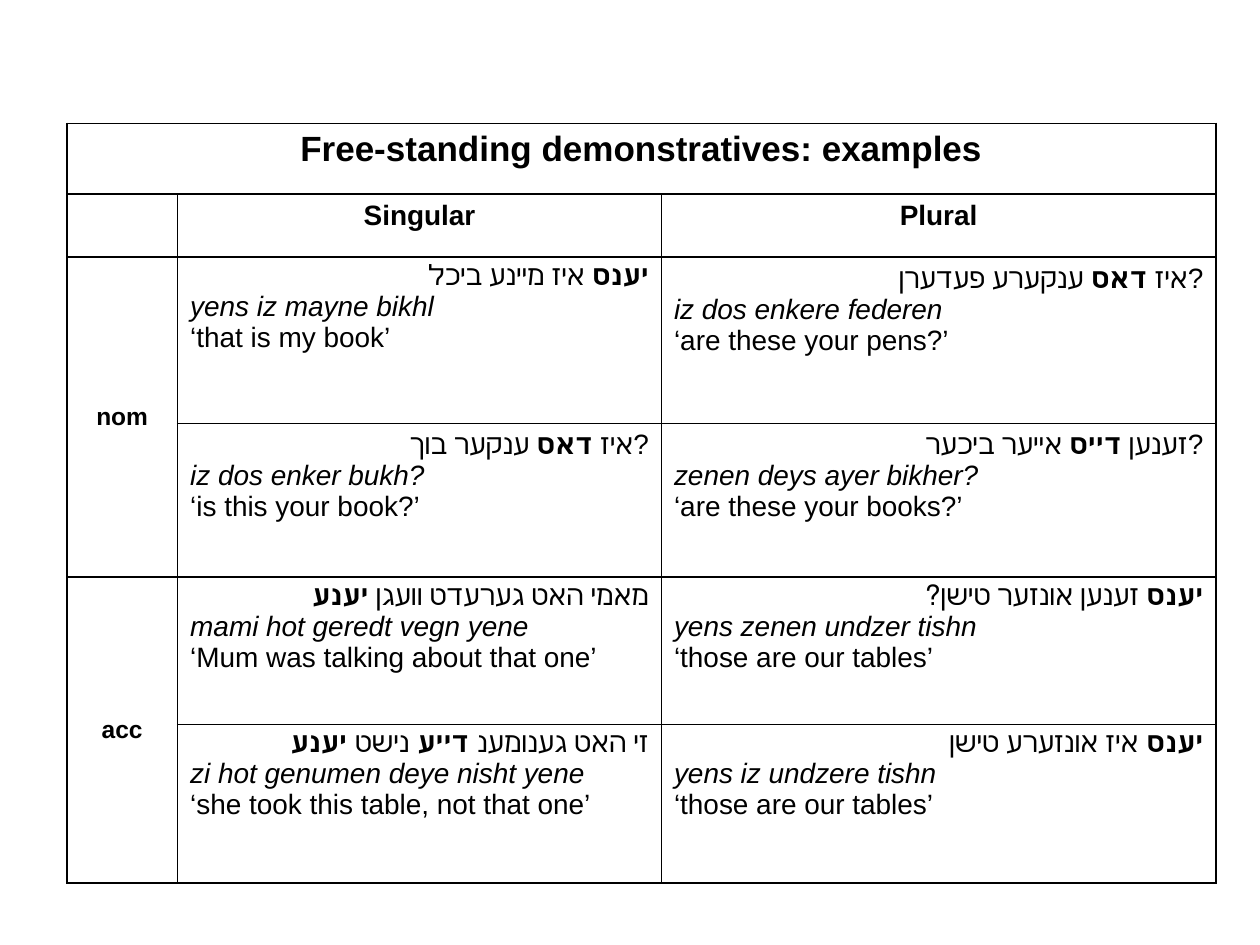
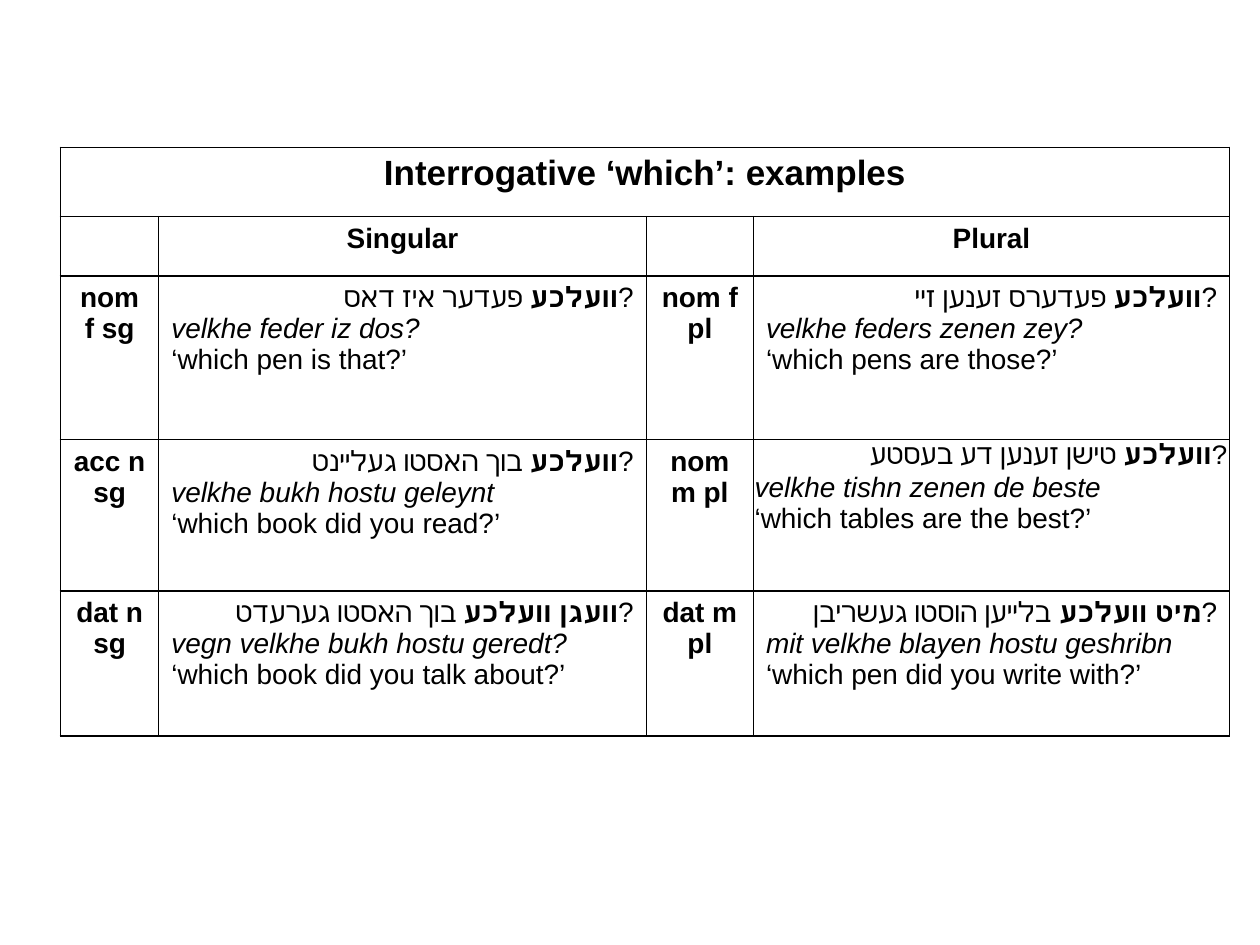
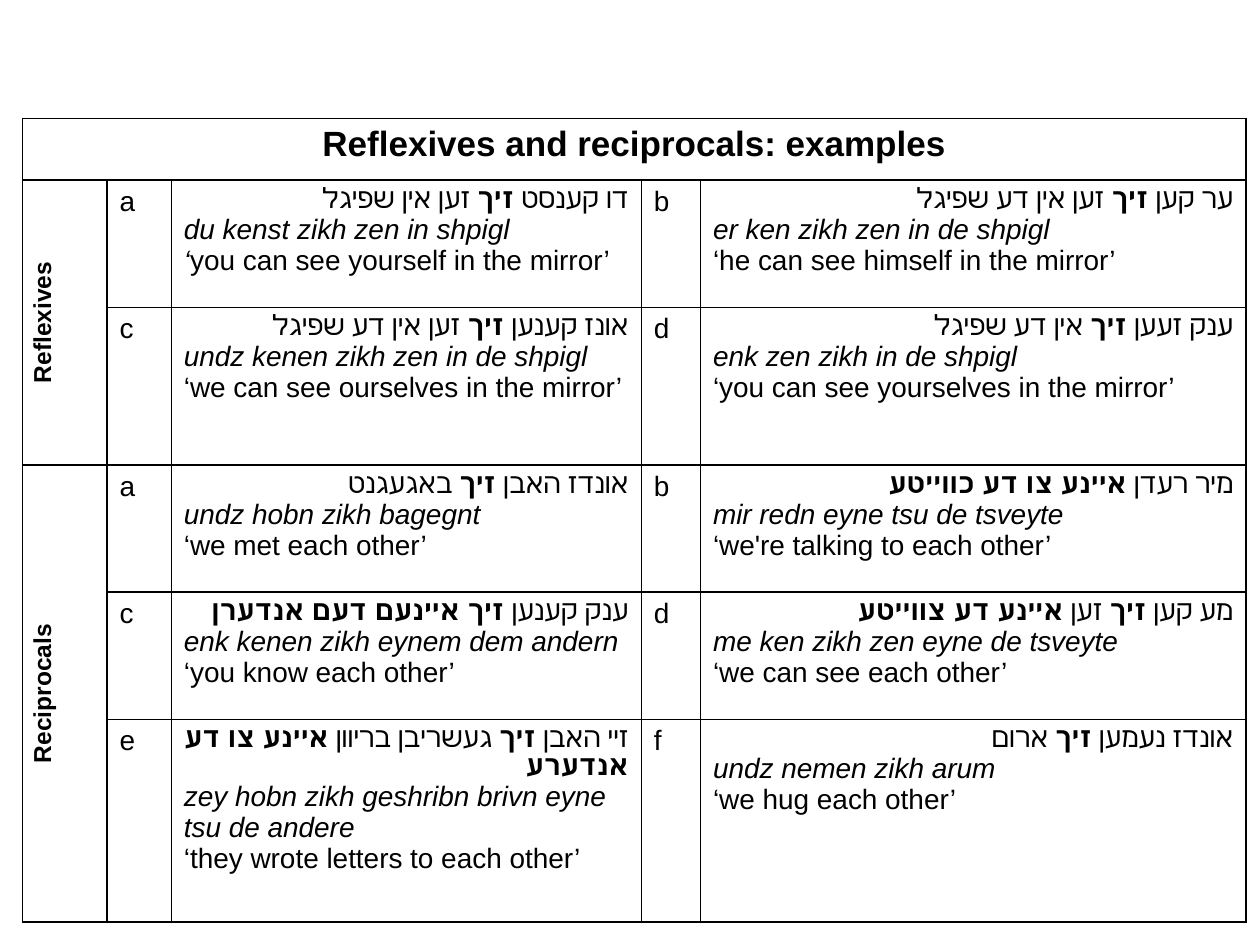
import pptx
import pptx.dml.color
import pptx.enum.text
import pptx.oxml
import pptx.oxml.ns
import pptx.util
from dataclasses import dataclass

Inches = pptx.util.Inches
Pt = pptx.util.Pt
ALIGN = pptx.enum.text.PP_ALIGN
MIDDLE = pptx.enum.text.MSO_ANCHOR.MIDDLE


@dataclass(frozen=True)
class Theme:
    ink: str = "000000"
    paper: str = "FFFFFF"
    font: str = "Arial"
    mono_font: str = "Courier New"
    title_size: int = 20
    body_size: int = 16
    side_size: int = 14
    rule_width: float = 1


class ExampleDeck:
    """Holds the style, the deck and the table on the current slide."""

    def __init__(self, theme):
        self.theme = theme
        self.deck = pptx.Presentation()
        self.deck.slide_width, self.deck.slide_height = Inches(10), Inches(7.5)
        self.table = None

    def add_grid(self, title, left, top, columns, rows):
        """Start a slide with a ruled table whose first row is the title."""
        page = self.deck.slides.add_slide(self.deck.slide_layouts[6])
        frame = page.shapes.add_table(
            len(rows), len(columns), Inches(left), Inches(top),
            Inches(sum(columns)), Inches(sum(rows)))
        self.table = frame.table
        self.table.first_row = self.table.horz_banding = False
        for column, width in zip(self.table.columns, columns):
            column.width = Inches(width)
        for row, height in zip(self.table.rows, rows):
            row.height = Inches(height)
        for cell in self.table.iter_cells():
            cell.fill.solid()
            cell.fill.fore_color.rgb = pptx.dml.color.RGBColor.from_string(self.theme.paper)
            self.rule_cell(cell)
        self.merge(0, 0, 0, len(columns) - 1)
        self.label(0, 0, title, self.theme.title_size)

    def rule_cell(self, cell):
        """Draw the four borders of a cell."""
        properties = cell._tc.get_or_add_tcPr()
        for index, side in enumerate(("lnL", "lnR", "lnT", "lnB")):
            properties.insert(index, pptx.oxml.parse_xml(
                f'<a:{side} {pptx.oxml.ns.nsdecls("a")} w="{Pt(self.theme.rule_width)}">'
                f'<a:solidFill><a:srgbClr val="{self.theme.ink}"/></a:solidFill></a:{side}>'))

    def merge(self, top, left, bottom, right):
        self.table.cell(top, left).merge(self.table.cell(bottom, right))

    def add_span(self, para, text, size=None, bold=False, italic=False, font=None):
        span = para.add_run()
        span.text = text
        span.font.name = font or self.theme.font
        span.font.size = Pt(size or self.theme.body_size)
        span.font.bold, span.font.italic = bold, italic
        span.font.color.rgb = pptx.dml.color.RGBColor.from_string(self.theme.ink)

    def label(self, row, column, text, size=None, bold=True, align=ALIGN.CENTER):
        para = self.table.cell(row, column).text_frame.paragraphs[0]
        para.alignment = align
        self.add_span(para, text, size, bold)

    def side_label(self, top, bottom, text, upright=False):
        """Label a group of rows in the first column."""
        self.merge(top, 0, bottom, 0)
        self.label(top, 0, text, self.theme.side_size)
        cell = self.table.cell(top, 0)
        cell.vertical_anchor = MIDDLE
        if upright:
            cell._tc.get_or_add_tcPr().set("vert", "vert270")

    def example(self, row, column, yiddish, latin, gloss, font=None, rtl=False):
        """Three lines; asterisks mark bold Yiddish and italic gloss."""
        frame = self.table.cell(row, column).text_frame
        para = frame.paragraphs[0]
        para.alignment = ALIGN.RIGHT
        if rtl:
            para._p.get_or_add_pPr().set("rtl", "1")
        for index, part in enumerate(yiddish.split("*")):
            if part:
                self.add_span(para, part, bold=index % 2 == 1, font=font)
        self.add_span(frame.add_paragraph(), latin, italic=True)
        para = frame.add_paragraph()
        for index, part in enumerate(gloss.split("*")):
            if part:
                self.add_span(para, part, italic=index % 2 == 1)


def add_demonstratives(book):
    book.add_grid("Free-standing demonstratives: examples", 0.53, 0.98,
                  [0.88, 3.84, 4.4], [0.56, 0.5, 1.32, 1.22, 1.17, 1.26])
    book.label(1, 1, "Singular")
    book.label(1, 2, "Plural")
    book.side_label(2, 3, "nom")
    book.side_label(4, 5, "acc")
    examples = [
        ("*יענס* איז מיינע ביכל", "yens iz mayne bikhl", "‘that is my book’"),
        ("איז *דאס* ענקערע פעדערן?", "iz dos enkere federen", "‘are these your pens?’"),
        ("איז *דאס* ענקער בוך?", "iz dos enker bukh?", "‘is this your book?’"),
        ("זענען *דייס* אייער ביכער?", "zenen deys ayer bikher?", "‘are these your books?’"),
        ("מאמי האט גערעדט וועגן *יענע*", "mami hot geredt vegn yene",
         "‘Mum was talking about that one’"),
        ("*יענס* זענען אונזער טישן?", "yens zenen undzer tishn", "‘those are our tables’"),
        ("זי האט גענומענ* דייע *נישט* יענע*", "zi hot genumen deye nisht yene",
         "‘she took this table, not that one’"),
        ("*יענס *איז אונזערע טישן", "yens iz undzere tishn", "‘those are our tables’"),
    ]
    for index, lines in enumerate(examples):
        # One question is set in a right-to-left paragraph
        book.example(2 + index // 2, 1 + index % 2, *lines, rtl=index == 5)


def add_interrogatives(book):
    book.add_grid("Interrogative ‘which’: examples", 0.48, 1.17,
                  [0.78, 3.87, 0.85, 3.78], [0.55, 0.47, 1.3, 1.2, 1.15])
    book.label(1, 1, "Singular")
    book.label(1, 3, "Plural")
    examples = [
        ("nom f sg", "*וועלכע* פעדער איז דאס?", "velkhe feder iz dos?", "‘which pen is that?’"),
        ("nom f pl", "*וועלכע* פעדערס זענען זיי?", "velkhe feders zenen zey?",
         "‘which pens are those?’"),
        ("acc n sg", "*וועלכע* בוך האסטו געליינט?", "velkhe bukh hostu geleynt",
         "‘which book did you read?’"),
        ("nom m pl", "*וועלכע* טישן זענען דע בעסטע?", "velkhe tishn zenen de beste",
         "‘which tables are the best?’"),
        ("dat n sg", "*וועגן וועלכע* בוך האסטו גערעדט?", "vegn velkhe bukh hostu geredt?",
         "‘which book did you talk about?’"),
        ("dat m pl", "*מיט וועלכע *בלייען הוסטו געשריבן?", "mit velkhe blayen hostu geshribn",
         "‘which pen did you write with?’"),
    ]
    for index, (form, *lines) in enumerate(examples):
        row, column = 2 + index // 2, index % 2 * 2
        tight = form == "nom m pl"
        book.label(row, column, form)
        book.example(row, column + 1, *lines, font=book.theme.mono_font if tight else None)
        if tight:
            cell = book.table.cell(row, column + 1)
            cell.margin_left = cell.margin_top = cell.margin_right = Inches(0.01)
            cell.margin_bottom = 0


def add_reflexives(book):
    book.add_grid("Reflexives and reciprocals: examples", 0.18, 0.94,
                  [0.67, 0.51, 3.73, 0.47, 4.33], [0.49, 1.01, 1.25, 1.01, 1.01, 1.61])
    book.side_label(1, 2, "Reflexives", upright=True)
    book.side_label(3, 5, "Reciprocals", upright=True)
    examples = [
        ("דו קענסט *זיך* זען אין שפיגל", "du kenst zikh zen in shpigl",
         "*‘*you can see yourself in the mirror’"),
        ("ער קען *זיך* זען אין דע שפיגל", "er ken zikh zen in de shpigl",
         "‘he can see himself in the mirror’"),
        ("אונז קענען *זיך* זען אין דע שפיגל", "undz kenen zikh zen in de shpigl",
         "‘we can see ourselves in the mirror’"),
        ("ענק זעען *זיך* אין דע שפיגל", "enk zen zikh in de shpigl",
         "‘you can see yourselves in the mirror’"),
        ("אונדז האבן *זיך* באגעגנט", "undz hobn zikh bagegnt", "‘we met each other’"),
        ("מיר רעדן *איינע צו דע כווייטע*", "mir redn eyne tsu de tsveyte",
         "‘we're talking to each other’"),
        ("ענק קענען *זיך איינעם דעם אנדערן*", "enk kenen zikh eynem dem andern",
         "‘you know each other’"),
        ("מע קען *זיך* זען *איינע דע צווייטע*", "me ken zikh zen eyne de tsveyte",
         "‘we can see each other’"),
        ("זיי האבן *זיך* געשריבן בריוון *איינע צו דע אנדערע*",
         "zey hobn zikh geshribn brivn eyne tsu de andere",
         "‘they wrote letters to each other’"),
        ("אונדז נעמען *זיך* ארום", "undz nemen zikh arum", "‘we hug each other’"),
    ]
    for index, (letter, lines) in enumerate(zip("abcdabcdef", examples)):
        row, column = 1 + index // 2, 1 + index % 2 * 2
        book.label(row, column, letter, bold=False, align=ALIGN.LEFT)
        book.example(row, column + 1, *lines)


def main():
    book = ExampleDeck(Theme())
    add_demonstratives(book)
    add_interrogatives(book)
    add_reflexives(book)
    book.deck.save("out.pptx")


if __name__ == "__main__":
    main()
